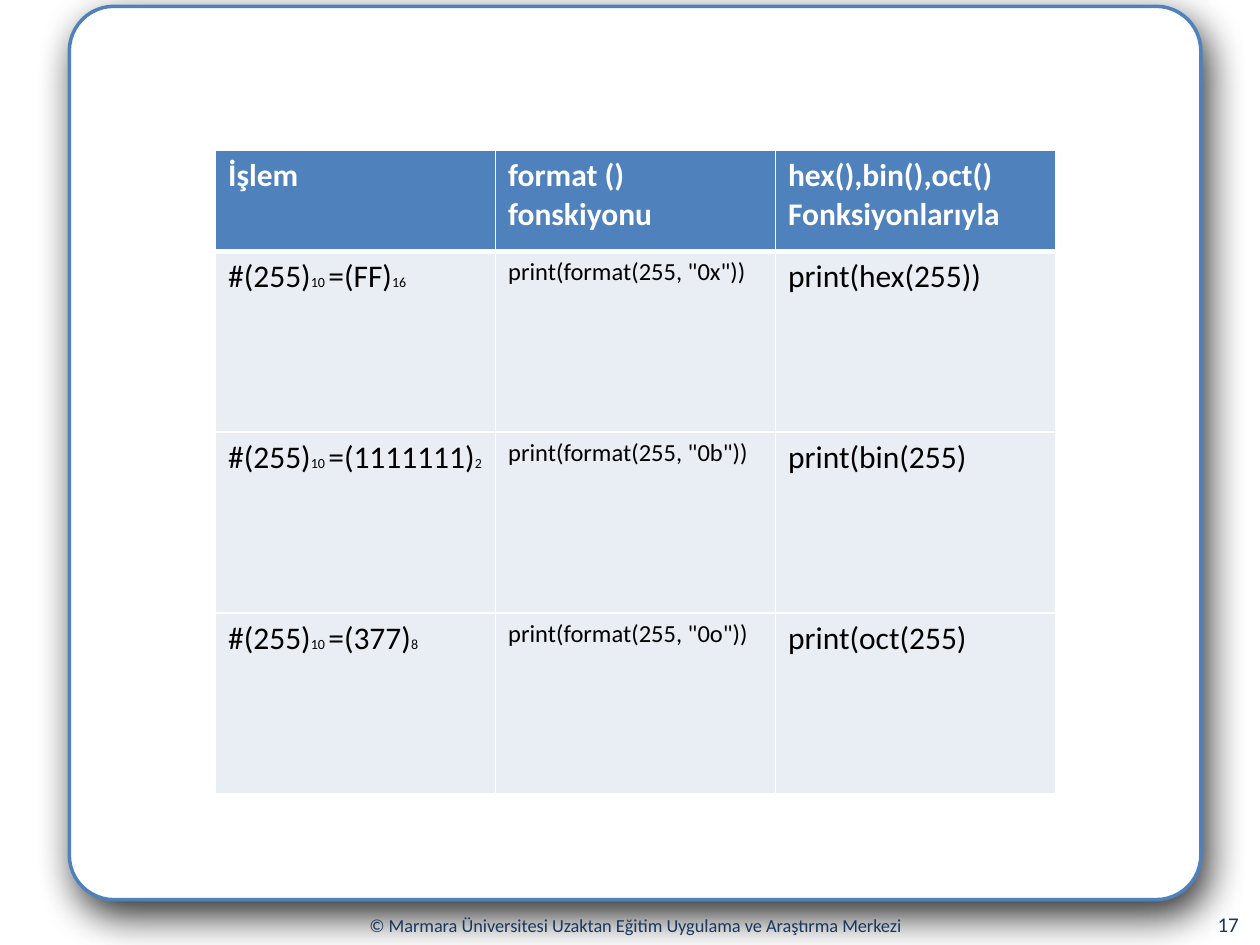
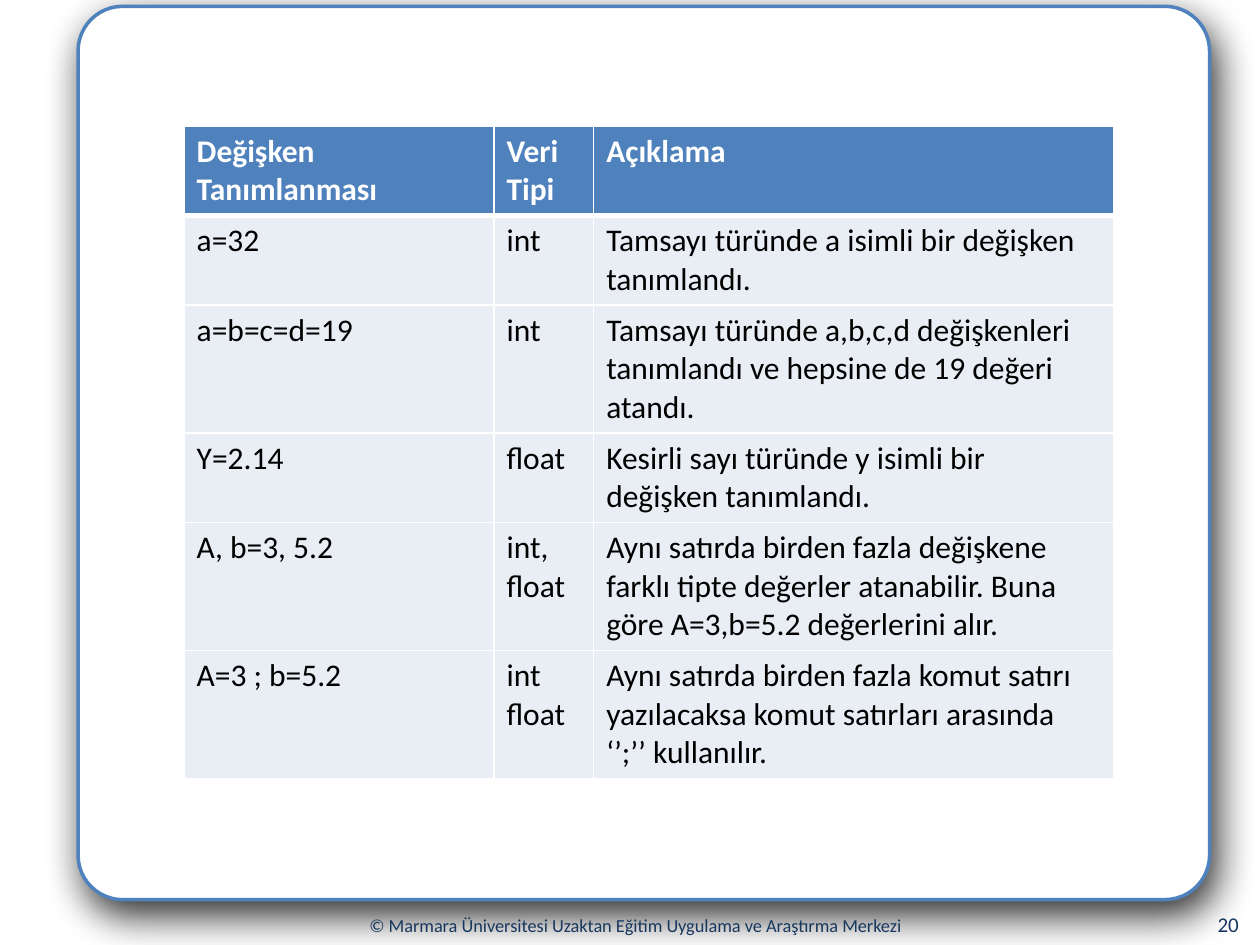
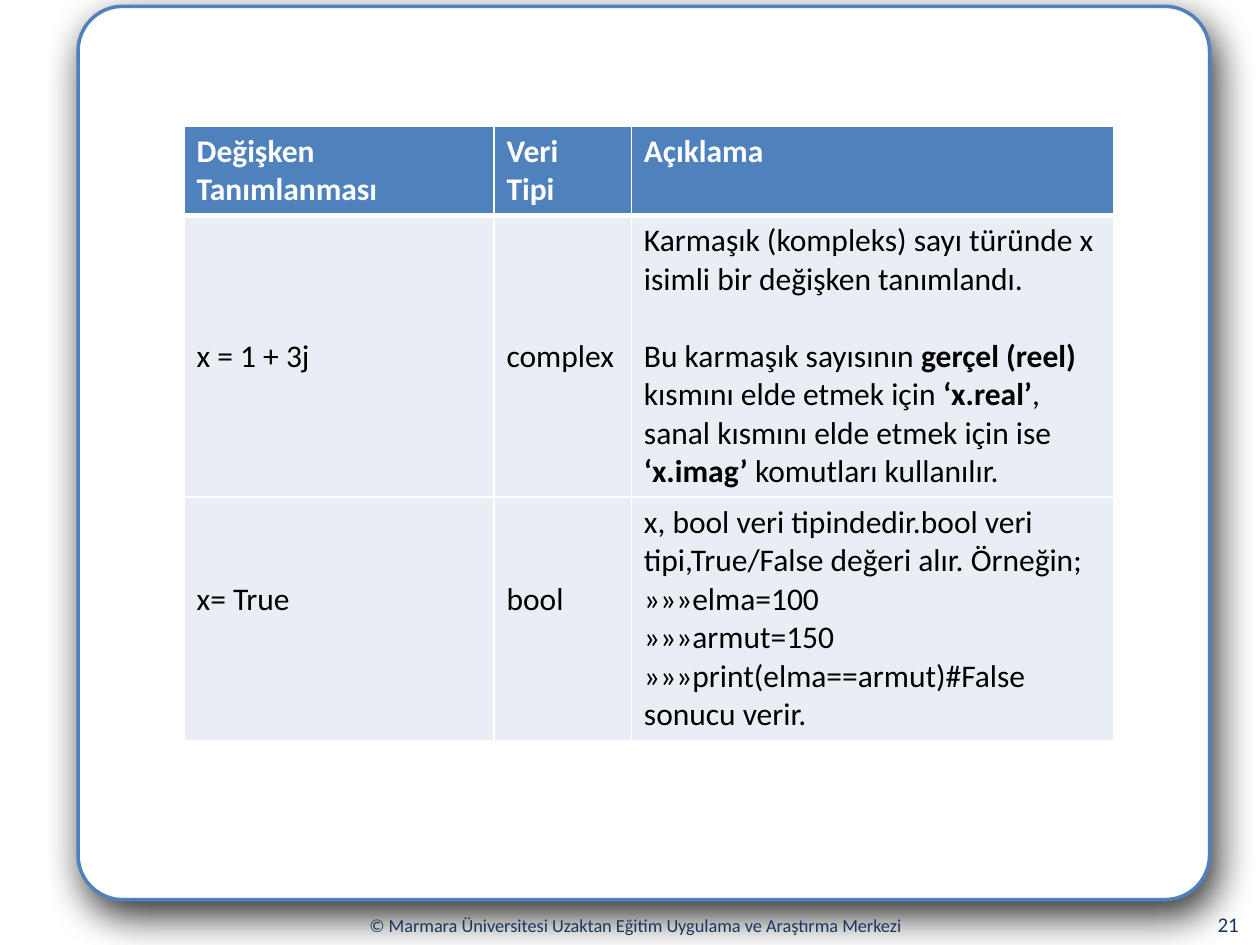
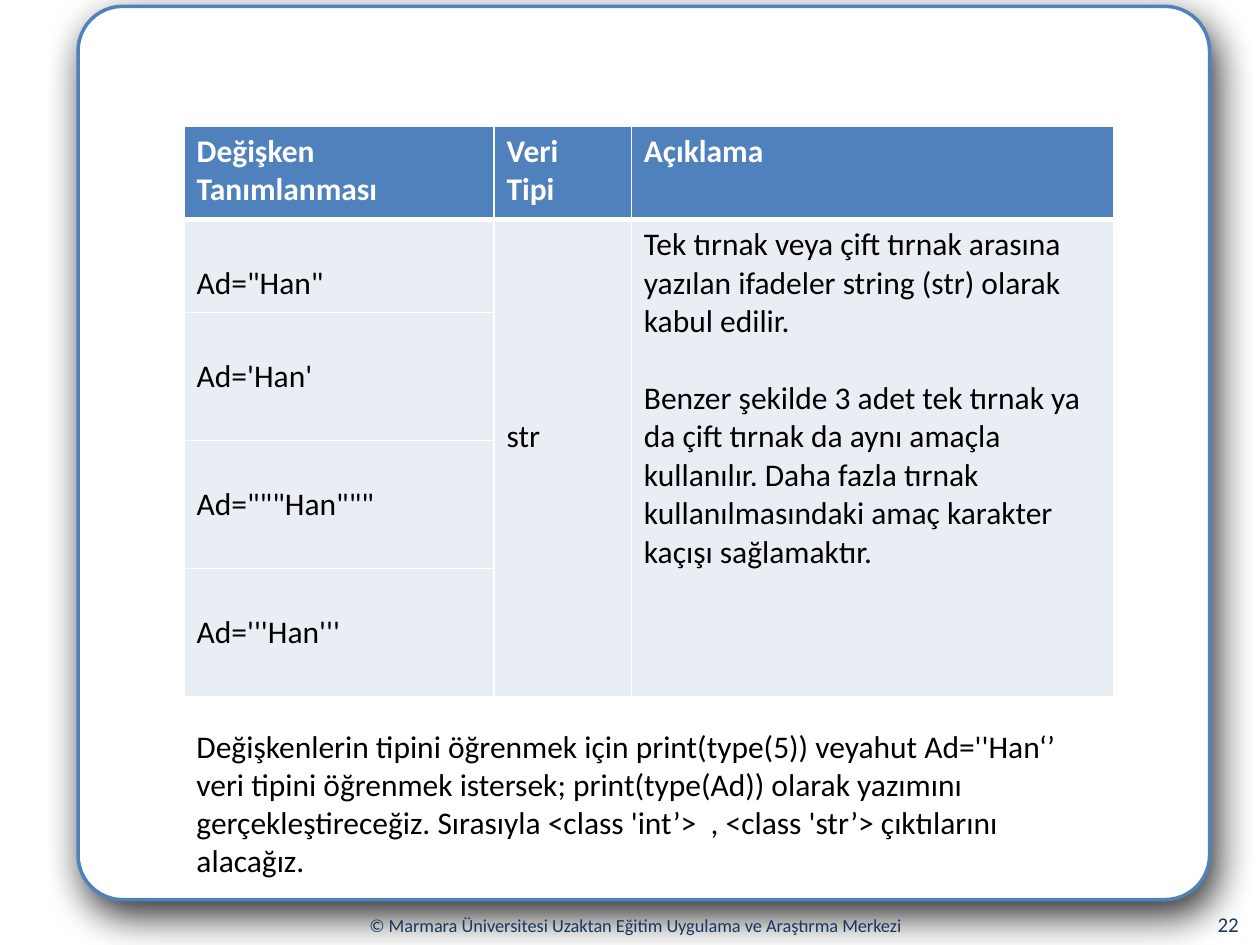
from collections import namedtuple

from lxml import etree
from pptx import Presentation
from pptx.dml.color import RGBColor
from pptx.enum import shapes, text
from pptx.oxml import ns
from pptx.util import Pt

# Shared style
FONT = "Calibri"
BLUE = RGBColor(0x4F, 0x81, 0xBD)
NAVY = RGBColor(0x17, 0x37, 0x5E)
PALE = RGBColor(0xE9, 0xED, 0xF4)
WHITE = RGBColor(0xFF, 0xFF, 0xFF)
BLACK = RGBColor(0, 0, 0)
BODY, CODE, SUB = 18, 14, 8
LINE = 21.97  # height of one line of body text
INSET = 3.6   # space above and below the text of a cell
FOOTER = "© Marmara Üniversitesi Uzaktan Eğitim Uygulama ve Araştırma Merkezi"

# paras: strings or lists of runs; lead: lines left free above the text;
# gap: lines left free before the second paragraph
Cell = namedtuple("Cell", "paras lead gap", defaults=(0, 0))
Run = namedtuple("Run", "text size bold", defaults=(BODY, False))


def row_heights(*lines):
    return [n * LINE + 2 * INSET for n in lines]


class Deck:
    def __init__(self):
        self.prs = Presentation()
        self.prs.slide_width, self.prs.slide_height = Pt(720), Pt(540)
        self.slide = None

    def add_slide(self, number, panel_left=44.6):
        self.slide = self.prs.slides.add_slide(self.prs.slide_layouts[6])
        self.panel(panel_left)
        middle = text.MSO_ANCHOR.MIDDLE
        self.textbox(FOOTER, 150.5, 514, 425.5, 28.8, 10.5, NAVY,
                     text.PP_ALIGN.CENTER, middle)
        self.textbox(str(number), 547.2, 513.4, 167.8, 28.8, 12, NAVY,
                     text.PP_ALIGN.RIGHT, middle)

    def panel(self, left):
        sp = self.slide.shapes.add_shape(
            shapes.MSO_SHAPE.ROUNDED_RECTANGLE,
            Pt(left), Pt(3.6), Pt(646.6), Pt(510.5))
        sp.adjustments[0] = 0.05
        sp.fill.solid()
        sp.fill.fore_color.rgb = WHITE
        sp.line.color.rgb = BLUE
        sp.line.width = Pt(2)
        # Soft shadow to the lower right
        sp.shadow.inherit = False
        effects = sp._element.spPr.find(ns.qn("a:effectLst"))
        shadow = etree.SubElement(
            effects, ns.qn("a:outerShdw"), blurRad=str(Pt(23)),
            dist=str(Pt(9)), dir=str(64 * 60000), algn="ctr", rotWithShape="0")
        color = etree.SubElement(shadow, ns.qn("a:srgbClr"), val=str(BLACK))
        etree.SubElement(color, ns.qn("a:alpha"), val="81000")

    def style(self, r, size, color, bold=False):
        r.font.name = FONT
        r.font.size = Pt(size)
        r.font.bold = bold
        r.font.color.rgb = color

    def textbox(self, words, left, top, width, height, size, color,
                align=text.PP_ALIGN.LEFT, anchor=text.MSO_ANCHOR.TOP):
        sp = self.slide.shapes.add_textbox(
            Pt(left), Pt(top), Pt(width), Pt(height))
        tf = sp.text_frame
        tf.word_wrap = True
        tf.vertical_anchor = anchor
        tf.text = words
        p = tf.paragraphs[0]
        p.alignment = align
        self.style(p.runs[0], size, color)

    def table(self, left, top, widths, heights, rows, merges=()):
        frame = self.slide.shapes.add_table(
            len(heights), len(widths), Pt(left), Pt(top),
            Pt(sum(widths)), Pt(sum(heights)))
        table = frame.table
        table.horz_banding = False
        for column, width in zip(table.columns, widths):
            column.width = Pt(width)
        for row, height in zip(table.rows, heights):
            row.height = Pt(height)
        for i, row in enumerate(table.rows):
            for cell in row.cells:
                self.borders(cell, 3 if i == 0 else 1, 3 if i == 1 else 1)
                cell.fill.solid()
                cell.fill.fore_color.rgb = BLUE if i == 0 else PALE
        for first, last in merges:
            table.cell(*first).merge(table.cell(*last))
        for i, row in enumerate(rows):
            for j, content in enumerate(row):
                self.fill_cell(table.cell(i, j), content, header=i == 0)

    def borders(self, cell, bottom, top):
        tcPr = cell._tc.get_or_add_tcPr()
        for side, width in (("L", 1), ("R", 1), ("T", top), ("B", bottom)):
            ln = etree.SubElement(tcPr, ns.qn("a:ln" + side), w=str(Pt(width)))
            fill = etree.SubElement(ln, ns.qn("a:solidFill"))
            etree.SubElement(fill, ns.qn("a:srgbClr"), val=str(WHITE))

    def fill_cell(self, cell, content, header):
        if not isinstance(content, Cell):
            content = Cell([content])
        cell.margin_top = Pt(INSET + content.lead * LINE)
        cell.margin_bottom = Pt(INSET)
        tf = cell.text_frame
        for i, para in enumerate(content.paras):
            p = tf.add_paragraph() if i else tf.paragraphs[0]
            if i == 1 and content.gap:
                p.space_before = Pt(content.gap * LINE)
            for run in [Run(para)] if isinstance(para, str) else para:
                r = p.add_run()
                r.text = run.text
                self.style(r, run.size, WHITE if header else BLACK,
                           header or run.bold)


def conversion_row(value, base, code, call):
    number = [Run("#(255)"), Run("10 ", SUB), Run(f"=({value})"), Run(base, SUB)]
    return [Cell([number]), Cell([[Run(f'print(format(255, "{code}"))', CODE)]]), call]


def main():
    deck = Deck()
    header = ["Değişken Tanımlanması", Cell(["Veri", "Tipi"]), "Açıklama"]
    left, top = 105.2, 72
    wide_type = [177.1, 78.5, 275.8]

    # Number base conversions
    deck.add_slide(17, panel_left=39.6)
    deck.table(123.2, 86, [160] * 3, [57.6] + [103.4] * 3, [
        ["İşlem", "format () fonskiyonu",
         Cell(["hex(),bin(),oct()", "Fonksiyonlarıyla"])],
        conversion_row("FF", "16", "0x", "print(hex(255))"),
        conversion_row("1111111", "2", "0b", "print(bin(255)"),
        conversion_row("377", "8", "0o", "print(oct(255)"),
    ])

    # Integers and floats
    deck.add_slide(20)
    deck.table(left, top, [177.1, 57, 297], row_heights(2, 2, 3, 2, 3, 3), [
        header,
        ["a=32", "int", "Tamsayı türünde a isimli bir değişken tanımlandı."],
        ["a=b=c=d=19", "int",
         "Tamsayı türünde a,b,c,d değişkenleri tanımlandı ve hepsine de 19 "
         "değeri atandı."],
        ["Y=2.14", "float",
         "Kesirli sayı türünde y isimli bir değişken tanımlandı."],
        ["A, b=3, 5.2", Cell(["int,", "float"]),
         "Aynı satırda birden fazla değişkene farklı tipte değerler "
         "atanabilir. Buna göre A=3,b=5.2 değerlerini alır."],
        ["A=3 ; b=5.2", Cell(["int", "float"]),
         "Aynı satırda birden fazla komut satırı yazılacaksa komut satırları "
         "arasında ‘’;’’ kullanılır."],
    ])

    # Complex numbers and booleans
    deck.add_slide(21)
    parts = [
        Run("Bu karmaşık sayısının "), Run("gerçel (reel) ", bold=True),
        Run("kısmını elde etmek için "), Run("‘x.real’", bold=True),
        Run(", sanal kısmını elde etmek için ise "),
        Run("‘x.imag’ ", bold=True), Run("komutları kullanılır."),
    ]
    deck.table(left, top, wide_type, row_heights(2, 7, 6), [
        header,
        [Cell(["x = 1 + 3j"], lead=3), Cell(["complex"], lead=3),
         Cell(["Karmaşık (kompleks) sayı türünde x isimli bir değişken "
               "tanımlandı.", parts], gap=1)],
        [Cell(["x= True"], lead=2), Cell(["bool"], lead=2),
         Cell(["x, bool veri tipindedir.bool veri tipi,True/False değeri "
               "alır. Örneğin;", "»»»elma=100", "»»»armut=150",
               "»»»print(elma==armut)#False sonucu verir."])],
    ])

    # Strings
    deck.add_slide(22)
    rule = Cell([
        "Tek tırnak veya çift tırnak arasına yazılan ifadeler string (str) "
        "olarak kabul edilir.",
        "Benzer şekilde 3 adet tek tırnak ya da çift tırnak da aynı amaçla "
        "kullanılır. Daha fazla tırnak kullanılmasındaki amaç karakter kaçışı "
        "sağlamaktır."], gap=1)
    quotes = ['"', "'", '"""', "'''"]
    names = [Cell([f"Ad={q}Han{q}"], lead=1) for q in quotes]
    deck.table(left, top, wide_type, [53.3] * 2 + row_heights(3, 3, 3), [
        header,
        [names[0], Cell(["str"], lead=5), rule],
        *([name] for name in names[1:]),
    ], merges=[((1, j), (4, j)) for j in (1, 2)])
    deck.textbox(
        "Değişkenlerin tipini öğrenmek için print(type(5)) veyahut "
        "Ad=''Han‘’ veri tipini öğrenmek istersek; print(type(Ad)) olarak "
        "yazımını gerçekleştireceğiz. Sırasıyla <class 'int’>  , "
        "<class 'str’> çıktılarını alacağız.",
        left, 412, 531.4, 94.3, BODY, BLACK)

    deck.prs.save("out.pptx")


if __name__ == "__main__":
    main()
